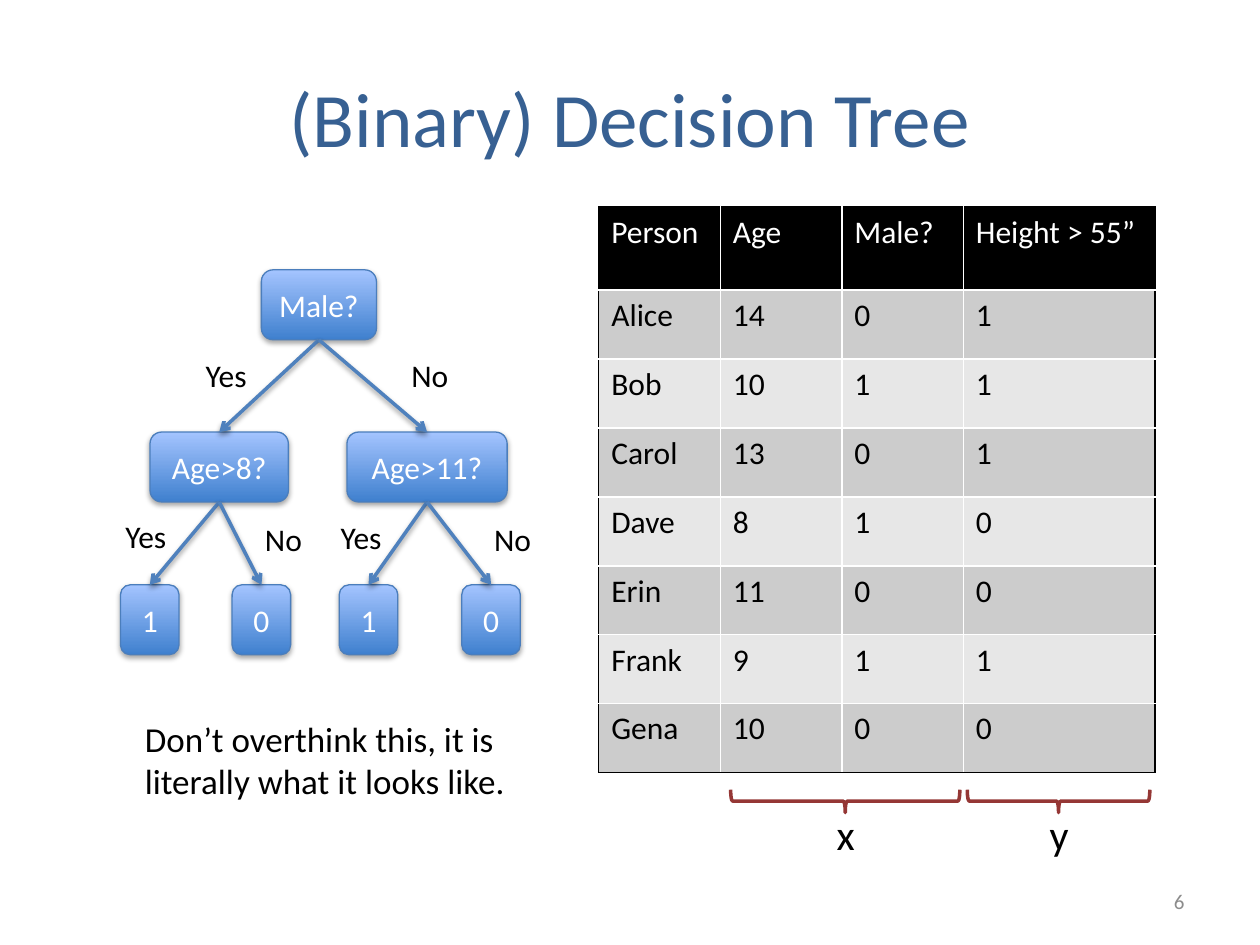
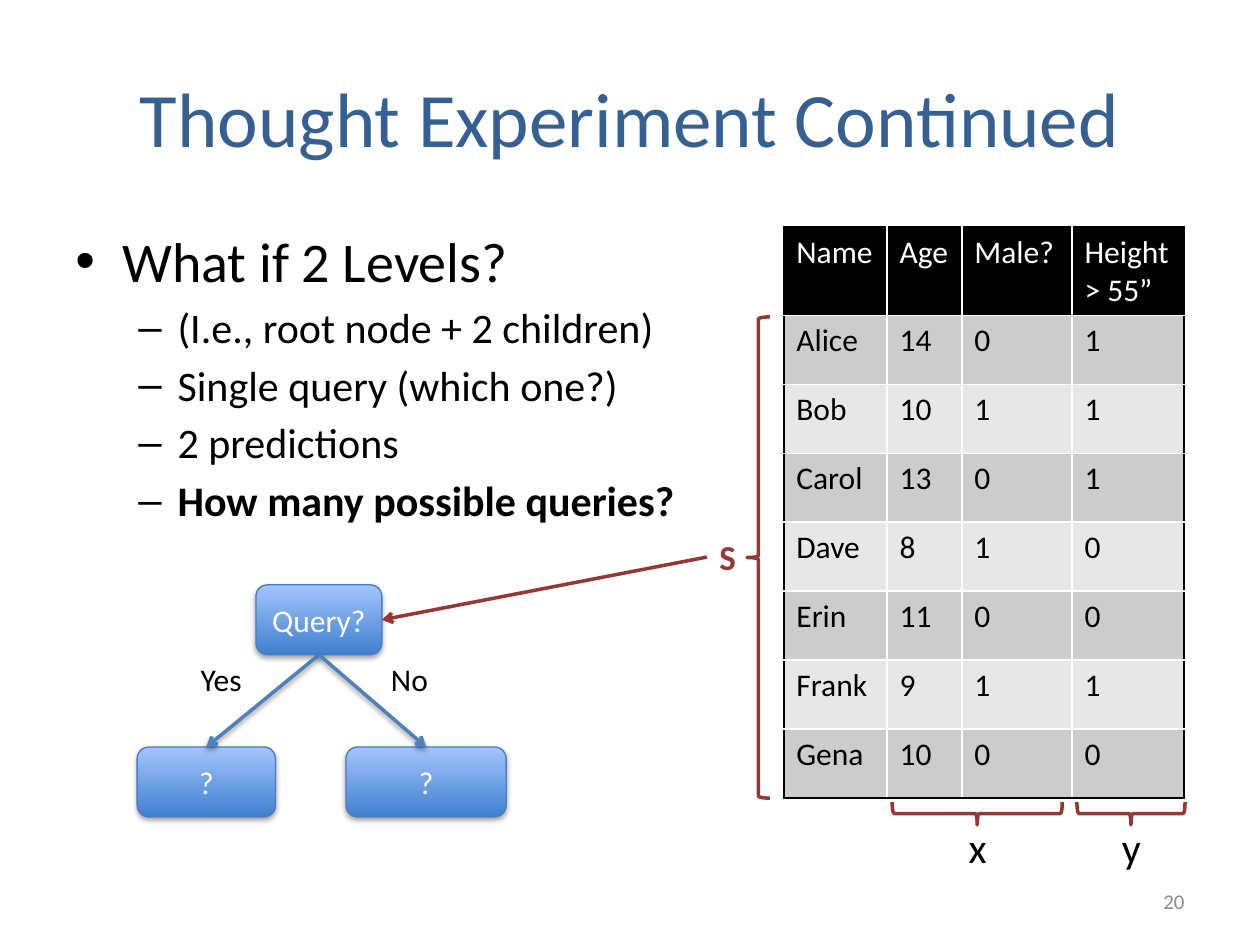
import lxml.etree
import pptx
import pptx.dml.color
import pptx.enum.shapes
import pptx.enum.text
import pptx.oxml
import pptx.oxml.ns
import pptx.util

Cm = pptx.util.Cm
Pt = pptx.util.Pt
RGBColor = pptx.dml.color.RGBColor
Align = pptx.enum.text.PP_ALIGN
Anchor = pptx.enum.text.MSO_ANCHOR
Shape = pptx.enum.shapes.MSO_SHAPE
qn = pptx.oxml.ns.qn

FONT = "Calibri"
BLACK = RGBColor(0x00, 0x00, 0x00)
WHITE = RGBColor(0xFF, 0xFF, 0xFF)
TITLE_BLUE = RGBColor(0x37, 0x60, 0x92)
NODE_DARK = RGBColor(0x3F, 0x80, 0xCE)
NODE_LIGHT = RGBColor(0xA4, 0xC4, 0xFF)
NODE_EDGE = RGBColor(0x4B, 0x7E, 0xBC)
BRANCH_BLUE = RGBColor(0x4F, 0x81, 0xBD)
BRACE_RED = RGBColor(0x95, 0x37, 0x35)
PAGE_GRAY = RGBColor(0x8C, 0x8C, 0x8C)
ROW_DARK = RGBColor(0xCC, 0xCC, 0xCC)
ROW_LIGHT = RGBColor(0xE7, 0xE7, 0xE7)

NODE_HEIGHT = 1.41
BRACE_DEPTH = 0.46
HEADER_HEIGHT = 1.68
ROW_HEIGHT = 1.39
ANSWER_WIDTHS = {"Yes": 1.4, "No": 1.27}

PEOPLE = [
    ("Alice", 14, 0, 1),
    ("Bob", 10, 1, 1),
    ("Carol", 13, 0, 1),
    ("Dave", 8, 1, 0),
    ("Erin", 11, 0, 0),
    ("Frank", 9, 1, 1),
    ("Gena", 10, 0, 0),
]


def write(paragraph, text, size=18, color=BLACK, bold=False, align=Align.LEFT):
    paragraph.alignment = align
    run = paragraph.add_run()
    run.text = text
    run.font.name = FONT
    run.font.size = Pt(size)
    run.font.bold = bold
    run.font.color.rgb = color


def add_text(slide, text, left, top, width, height, anchor=Anchor.TOP,
             wrap=False, **text_format):
    box = slide.shapes.add_textbox(Cm(left), Cm(top), Cm(width), Cm(height))
    frame = box.text_frame
    frame.word_wrap = wrap
    frame.vertical_anchor = anchor
    for index, line in enumerate(text.split("\n")):
        paragraph = frame.add_paragraph() if index else frame.paragraphs[0]
        write(paragraph, line, **text_format)
    return box


def add_titled_slide(deck, title, page):
    slide = deck.slides.add_slide(deck.slide_layouts[6])
    add_text(slide, title, 1.27, 0.76, 22.86, 3.18, anchor=Anchor.MIDDLE,
             wrap=True, size=44, color=TITLE_BLUE, align=Align.CENTER)
    add_text(slide, page, 18.21, 17.65, 5.92, 1.02, anchor=Anchor.MIDDLE,
             wrap=True, size=12, color=PAGE_GRAY, align=Align.RIGHT)
    return slide


def set_effects(element, opacity=0):
    """Replace the inherited effects by a soft drop shadow, or by none."""
    properties = element.spPr
    for effects in properties.findall(qn("a:effectLst")):
        properties.remove(effects)
    effects = lxml.etree.SubElement(properties, qn("a:effectLst"))
    if opacity:
        shadow = lxml.etree.SubElement(
            effects, qn("a:outerShdw"), blurRad=str(Pt(3.1)),
            dist=str(Pt(1.7)), dir="5400000", rotWithShape="0")
        tint = lxml.etree.SubElement(shadow, qn("a:srgbClr"), val=str(BLACK))
        lxml.etree.SubElement(tint, qn("a:alpha"), val=str(opacity * 1000))


def add_node(slide, text, center, top, width):
    node = slide.shapes.add_shape(
        Shape.ROUNDED_RECTANGLE, Cm(center - width / 2), Cm(top),
        Cm(width), Cm(NODE_HEIGHT))
    node.fill.gradient()
    node.fill.gradient_angle = 90
    for stop, color, position in zip(
            node.fill.gradient_stops, (NODE_DARK, NODE_LIGHT), (0, 1)):
        stop.color.rgb = color
        stop.position = position
    node.line.color.rgb = NODE_EDGE
    node.line.width = Pt(0.75)
    node.shadow.inherit = False
    set_effects(node.element, opacity=35)
    node.text_frame.vertical_anchor = Anchor.MIDDLE
    write(node.text_frame.paragraphs[0], text, color=WHITE, align=Align.CENTER)
    return node


def add_arrow(slide, source, source_side, target, target_side, color, opacity=0):
    arrow = slide.shapes.add_connector(
        pptx.enum.shapes.MSO_CONNECTOR.STRAIGHT, 0, 0, 0, 0)
    arrow.begin_connect(source, source_side)
    arrow.end_connect(target, target_side)
    arrow.line.color.rgb = color
    arrow.line.width = Pt(2)
    lxml.etree.SubElement(arrow.line._get_or_add_ln(), qn("a:tailEnd"), type="arrow")
    set_effects(arrow.element, opacity)


def add_branch(slide, parent, child, answer, left, top):
    add_arrow(slide, parent, 2, child, 0, BRANCH_BLUE, opacity=38)
    add_text(slide, answer, left, top, ANSWER_WIDTHS[answer], 1.02,
             align=Align.CENTER)


def add_brace(slide, center_x, center_y, span, rotation=0):
    brace = slide.shapes.add_shape(
        Shape.LEFT_BRACE, Cm(center_x - BRACE_DEPTH / 2),
        Cm(center_y - span / 2), Cm(BRACE_DEPTH), Cm(span))
    brace.rotation = rotation
    brace.fill.background()
    brace.line.color.rgb = BRACE_RED
    brace.line.width = Pt(2)
    brace.shadow.inherit = False


def add_column_brace(slide, name, center, middle, span):
    """Mark table columns from below with a brace and a variable name."""
    add_brace(slide, center, middle, span, rotation=270)
    add_text(slide, name, center - 0.44, middle + 0.03, 0.9, 1.27, size=24,
             align=Align.CENTER)


def set_borders(cell, **colors):
    properties = cell._tc.get_or_add_tcPr()
    for side in "LRTB":
        line = lxml.etree.SubElement(properties, qn("a:ln" + side), w=str(Pt(1)))
        fill = lxml.etree.SubElement(line, qn("a:solidFill"))
        lxml.etree.SubElement(fill, qn("a:srgbClr"), val=str(colors[side]))


def add_people_table(slide, headings, left, top, widths):
    rows = [headings, *PEOPLE]
    last_row, last_column = len(rows) - 1, len(widths) - 1
    table = slide.shapes.add_table(
        len(rows), len(widths), Cm(left), Cm(top), Cm(sum(widths)),
        Cm(HEADER_HEIGHT + ROW_HEIGHT * len(PEOPLE))).table
    table.first_row = table.horz_banding = False
    for column, width in zip(table.columns, widths):
        column.width = Cm(width)
    for r, values in enumerate(rows):
        table.rows[r].height = Cm(ROW_HEIGHT if r else HEADER_HEIGHT)
        for c, value in enumerate(values):
            cell = table.cell(r, c)
            set_borders(cell,
                        L=WHITE if c else BLACK,
                        R=BLACK if c == last_column else WHITE,
                        T=WHITE if r else BLACK,
                        B=BLACK if r == last_row else WHITE)
            cell.fill.solid()
            band = ROW_DARK if r % 2 else ROW_LIGHT
            cell.fill.fore_color.rgb = band if r else BLACK
            write(cell.text_frame.paragraphs[0], str(value),
                  color=BLACK if r else WHITE)


def add_bullet(paragraph, mark, margin, hanging):
    properties = paragraph._p.get_or_add_pPr()
    properties.set("marL", str(Cm(margin)))
    properties.set("indent", str(-Cm(hanging)))
    font = lxml.etree.SubElement(properties, qn("a:buFont"))
    font.set("typeface", "Arial")
    lxml.etree.SubElement(properties, qn("a:buChar")).set("char", mark)


def add_outline(slide, heading, points, conclusion):
    body = slide.shapes.add_textbox(Cm(1.27), Cm(4.45), Cm(22.86), Cm(12.57))
    frame = body.text_frame
    frame.word_wrap = True
    add_bullet(frame.paragraphs[0], "•", 0.95, 0.95)
    write(frame.paragraphs[0], heading, size=32)
    for point in [*points, conclusion]:
        paragraph = frame.add_paragraph()
        add_bullet(paragraph, "–", 2.06, 0.79)
        paragraph.space_before = Pt(4.2)
        write(paragraph, point, size=24, bold=point == conclusion)


def build_decision_tree(deck):
    slide = add_titled_slide(deck, "(Binary) Decision Tree", "6")
    add_people_table(slide, ("Person", "Age", "Male?", "Height > 55”"),
                     12.07, 4.17, (2.45, 2.45, 2.45, 3.86))

    male = add_node(slide, "Male?", 6.43, 5.44, 2.32)
    over_8 = add_node(slide, "Age>8?", 4.42, 8.71, 2.79)
    over_11 = add_node(slide, "Age>11?", 8.61, 8.71, 3.23)
    leaves = [add_node(slide, prediction, center, 11.79, 1.18)
              for prediction, center in zip("1010", (3.02, 5.27, 7.43, 9.9))]
    for branch in (
        (male, over_8, "Yes", 3.86, 7.06),
        (male, over_11, "No", 8.03, 7.06),
        (over_8, leaves[0], "Yes", 2.24, 10.29),
        (over_8, leaves[1], "No", 5.08, 10.36),
        (over_11, leaves[2], "Yes", 6.58, 10.31),
        (over_11, leaves[3], "No", 9.7, 10.36),
    ):
        add_branch(slide, *branch)

    add_column_brace(slide, "x", 17.04, 16.15, 4.62)
    add_column_brace(slide, "y", 21.34, 16.15, 3.68)
    add_text(slide, "Don’t overthink this, it is\nliterally what it looks like.",
             2.67, 14.33, 7.87, 1.96, size=20)


def build_thought_experiment(deck):
    slide = add_titled_slide(deck, "Thought Experiment Continued", "20")
    add_outline(slide, "What if 2 Levels?",
                ("(I.e., root node + 2 children)",
                 "Single query (which one?)",
                 "2 predictions"),
                "How many possible queries?")
    add_people_table(slide, ("Name", "Age", "Male?", "Height > 55”"),
                     15.8, 4.58, (2.08, 1.51, 2.22, 2.26))

    add_brace(slide, 15.29, 11.24, 9.7)
    training_set = add_text(slide, "S", 14.25, 10.67, 0.84, 1.12, size=20,
                            color=BRACE_RED, bold=True, align=Align.CENTER)
    add_column_brace(slide, "x", 19.7, 16.4, 3.43)
    add_column_brace(slide, "y", 22.8, 16.4, 2.18)

    query = add_node(slide, "Query?", 6.43, 11.79, 2.54)
    yes_child = add_node(slide, "?", 4.16, 15.06, 2.79)
    no_child = add_node(slide, "?", 8.59, 15.06, 3.23)
    add_arrow(slide, training_set, 1, query, 3, BRACE_RED)
    add_branch(slide, query, yes_child, "Yes", 3.76, 13.18)
    add_branch(slide, query, no_child, "No", 7.62, 13.18)


def main():
    deck = pptx.Presentation()
    deck.slide_width = Cm(25.4)
    deck.slide_height = Cm(19.05)
    build_decision_tree(deck)
    build_thought_experiment(deck)
    deck.save("out.pptx")


if __name__ == "__main__":
    main()
